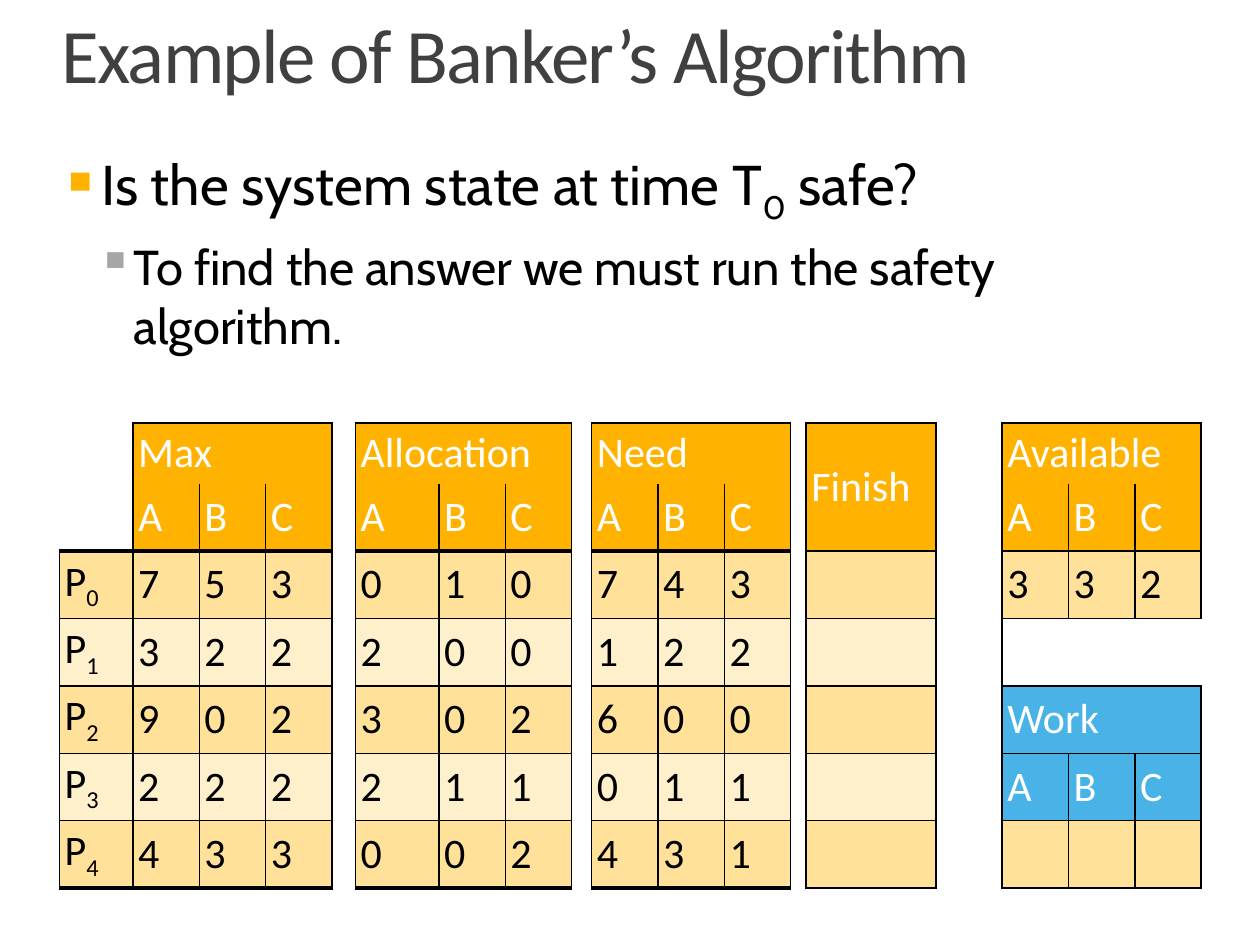
from pptx import Presentation
from pptx.dml.color import RGBColor
from pptx.enum.text import MSO_ANCHOR
from pptx.oxml.ns import qn
from pptx.util import Pt
from lxml import etree

MIDDLE, BOTTOM, TOP = MSO_ANCHOR.MIDDLE, MSO_ANCHOR.BOTTOM, MSO_ANCHOR.TOP
COLORS = {"title": "404040", "text": "000000", "head_text": "FFFFFF",
          "amber": "FFB300", "blue": "49B3E8", "band_dark": "FFE199",
          "band_light": "FFF0CC", "grey": "A6A6A6", "line": "000000"}
THIN, THICK = 1, 2.25
NO_STYLE = "{2D5ABB26-0587-4C30-8999-92F81FD0307C}"
# Each side of a cell: its neighbour's offset and the neighbour's matching side
SIDES = {"L": (0, -1, "R"), "R": (0, 1, "L"), "T": (-1, 0, "B"), "B": (1, 0, "T")}

UNIT, HEAD_HEIGHT, ROW_HEIGHT = 37.9, 35, 38.2
COLUMNS = [42, UNIT, UNIT, UNIT, 13.4, 47.8, UNIT, UNIT, 11.5, UNIT, UNIT, UNIT,
           8.7, 74.2, UNIT, UNIT, UNIT, UNIT]
ROWS = [HEAD_HEIGHT] + [ROW_HEIGHT] * 6
MATRICES = [("Max", 1, ["753", "322", "902", "222", "433"]),
            ("Allocation", 5, ["010", "200", "302", "211", "002"]),
            ("Need", 9, ["743", "122", "600", "011", "431"])]
NAME_COLUMN, FINISH_COLUMN, VECTOR_COLUMN = 0, 13, 15
FIRST_ROW, WORK_ROW, PROCESSES = 2, 4, 5


def style_span(span, font, size, color, subscript=False):
    span.font.name = font
    span.font.size = Pt(size)
    span.font.color.rgb = RGBColor.from_string(COLORS[color])
    if subscript:
        span.font._element.set("baseline", "-25000")


def add_spans(para, parts, font, size, color):
    """Every second part is a subscript."""
    for index, part in enumerate(parts):
        span = para.add_run()
        span.text = part
        style_span(span, font, size, color, subscript=index % 2 == 1)


def add_frame(page, box, anchor, top_inset=0):
    frame = page.shapes.add_textbox(*(Pt(length) for length in box)).text_frame
    frame.word_wrap = True
    frame.vertical_anchor = anchor
    frame.margin_left = frame.margin_right = frame.margin_bottom = 0
    frame.margin_top = Pt(top_inset)
    return frame


def add_title(page, box):
    para = add_frame(page, box, BOTTOM, 3).paragraphs[0]
    para.text = "Example of Banker’s Algorithm"
    para.line_spacing = 0.8
    para._p.get_or_add_pPr().set("marL", str(Pt(35.3)))
    span = para.runs[0]
    style_span(span, "Calibri", 44, "title")
    span.font._element.set("spc", "-100")


def add_bullets(page, box):
    frame = add_frame(page, box, TOP)
    items = [(["Is the system state at time T", "0", " safe?"], 32, 18, 21, "amber"),
             (["To find the answer we must run the safety algorithm."],
              28, 6, 42.5, "grey")]
    for level, (parts, size, before, indent, bullet) in enumerate(items):
        para = frame.add_paragraph() if level else frame.paragraphs[0]
        para.level = level
        para.space_before = Pt(before)
        add_spans(para, parts, "Cabin", size, "text")
        props = para._p.get_or_add_pPr()
        props.set("marL", str(Pt(indent)))
        props.set("indent", str(-Pt(21)))
        tint = etree.SubElement(props, qn("a:buClr"))
        etree.SubElement(tint, qn("a:srgbClr"), val=COLORS[bullet])
        etree.SubElement(props, qn("a:buChar"), char="▪")


class StateTable:
    """One table whose filled, ruled blocks are separated by empty cells."""

    def __init__(self, page, left, top):
        shape = page.shapes.add_table(len(ROWS), len(COLUMNS), Pt(left), Pt(top),
                                      Pt(sum(COLUMNS)), Pt(sum(ROWS)))
        self.table = shape.table
        self.table.first_row = self.table.horz_banding = False
        self.table._tbl.tblPr.find(qn("a:tableStyleId")).text = NO_STYLE
        for column, width in zip(self.table.columns, COLUMNS):
            column.width = Pt(width)
        for row, height in zip(self.table.rows, ROWS):
            row.height = Pt(height)
        self.edges, self.fills = {}, {}

    def rule(self, row, column, sides, bottom=THIN):
        """Note a cell's borders, and the same edges for its neighbours."""
        for side in sides:
            width = bottom if side == "B" else THIN
            down, right, opposite = SIDES[side]
            self.edges[row, column, side] = width
            self.edges[row + down, column + right, opposite] = width

    def put(self, row, column, parts, fill, color="text", sides="LRTB", bottom=THIN):
        self.fills[row, column] = fill
        self.rule(row, column, sides, bottom)
        para = self.table.cell(row, column).text_frame.paragraphs[0]
        add_spans(para, parts, "Calibri", 24, color)

    def put_heading(self, row, column, title, fill, bottom=THIN):
        """A title over three columns, with A, B and C below it."""
        self.table.cell(row, column).merge(self.table.cell(row, column + 2))
        self.put(row, column, [title], fill, "head_text", "LTR")
        self.rule(row, column + 1, "T")
        self.rule(row, column + 2, "TR")
        for offset, letter in enumerate("ABC"):
            self.put(row + 1, column + offset, [letter], fill, "head_text",
                     "LRB", bottom)

    def finish(self):
        for row in range(len(ROWS)):
            for column in range(len(COLUMNS)):
                cell = self.table.cell(row, column)
                cell.vertical_anchor = MIDDLE
                cell.margin_left = cell.margin_right = Pt(3)
                cell.margin_top = cell.margin_bottom = Pt(2.88)
                props = cell._tc.get_or_add_tcPr()
                for side in SIDES:
                    width = self.edges.get((row, column, side))
                    if width:
                        line = etree.SubElement(props, qn("a:ln" + side),
                                                w=str(Pt(width)))
                        paint = etree.SubElement(line, qn("a:solidFill"))
                        etree.SubElement(paint, qn("a:srgbClr"), val=COLORS["line"])
                fill = self.fills.get((row, column))
                if fill:
                    cell.fill.solid()
                    cell.fill.fore_color.rgb = RGBColor.from_string(COLORS[fill])
                else:
                    cell.fill.background()


def add_state_table(page, left, top):
    state = StateTable(page, left, top)
    # Headings
    for title, column, _ in MATRICES:
        state.put_heading(0, column, title, "amber", THICK)
    state.rule(1, NAME_COLUMN, "B", THICK)
    state.table.cell(0, FINISH_COLUMN).merge(state.table.cell(1, FINISH_COLUMN))
    state.put(0, FINISH_COLUMN, ["Finish"], "amber", "head_text")
    state.rule(1, FINISH_COLUMN, "LRB")
    # One row for each process
    for process in range(PROCESSES):
        row = FIRST_ROW + process
        band = "band_light" if process % 2 else "band_dark"
        bottom = THICK if process == PROCESSES - 1 else THIN
        sides = "LRB"
        state.put(row, NAME_COLUMN, ["P", str(process)], band, "text", sides, bottom)
        for _, column, values in MATRICES:
            for offset, value in enumerate(values[process]):
                state.put(row, column + offset, [value], band, "text", sides, bottom)
        state.put(row, FINISH_COLUMN, [], band)
    # Available and Work vectors
    for row, title, fill, values in [(0, "Available", "amber", "332"),
                                     (WORK_ROW, "Work", "blue", [None] * 3)]:
        state.put_heading(row, VECTOR_COLUMN, title, fill)
        for offset, value in enumerate(values):
            state.put(row + 2, VECTOR_COLUMN + offset, [value] if value else [],
                      "band_dark")
    state.finish()


def main():
    deck = Presentation()
    deck.slide_width, deck.slide_height = Pt(720), Pt(540)
    page = deck.slides.add_slide(deck.slide_layouts[6])
    add_title(page, (0, 0, 720, 56))
    add_state_table(page, 34, 241.7)
    add_bullets(page, (34, 85.7, 652, 198.7))
    deck.save("out.pptx")


if __name__ == "__main__":
    main()
